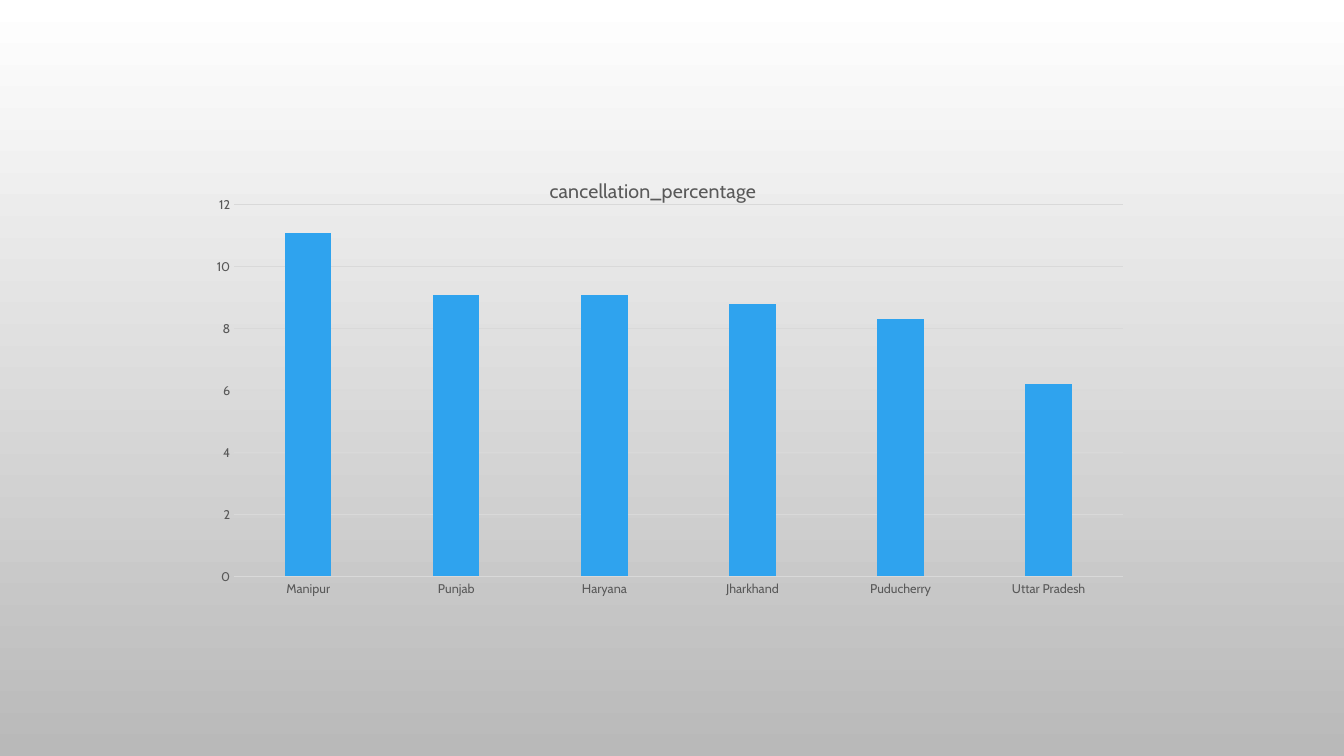
import pptx
import pptx.chart.data
import pptx.dml.color
import pptx.enum.chart
import pptx.oxml
import pptx.oxml.ns
import pptx.util

RGBColor = pptx.dml.color.RGBColor
WHITE = RGBColor(0xFF, 0xFF, 0xFF)
GREY = RGBColor(0xB9, 0xB9, 0xB9)
TEXT = RGBColor(0x59, 0x59, 0x59)
RULE = RGBColor(0xD9, 0xD9, 0xD9)
BLUE = RGBColor(0x2F, 0xA3, 0xEE)
FONT = "Cabin"

SLIDE_WIDTH = pptx.util.Inches(13.33)
SLIDE_HEIGHT = pptx.util.Inches(7.5)
# Chart frame as shares of the slide: left, top, width, height
CHART_FRAME = (0.1365, 0.2107, 0.6992, 0.5973)
# Inner plot area as shares of the chart
PLOT_AREA = {"x": 0.054, "y": 0.101, "w": 0.946, "h": 0.823}

SERIES_NAME = "cancellation_percentage"
CANCELLATIONS = {
    "Manipur": 11.1,
    "Punjab": 9.1,
    "Haryana": 9.1,
    "Jharkhand": 8.8,
    "Puducherry": 8.3,
    "Uttar Pradesh": 6.2,
}


def set_font(font, size):
    font.name = FONT
    font.size = pptx.util.Pt(size)
    font.bold = False
    font.color.rgb = TEXT


def set_rule(line):
    line.color.rgb = RULE
    line.width = pptx.util.Pt(0.75)


def paint_background(slide):
    fill = slide.background.fill
    fill.gradient()
    fill.gradient_angle = 270
    for stop, color, position in zip(fill.gradient_stops, (WHITE, GREY), (0, 1)):
        stop.color.rgb = color
        stop.position = position


def place_plot_area(chart):
    plot_area = chart._chartSpace.chart.plotArea
    for layout in plot_area.findall(pptx.oxml.ns.qn("c:layout")):
        plot_area.remove(layout)
    modes = '<c:layoutTarget val="inner"/><c:xMode val="edge"/><c:yMode val="edge"/>'
    sizes = "".join(f'<c:{key} val="{share}"/>' for key, share in PLOT_AREA.items())
    plot_area.insert(0, pptx.oxml.parse_xml(
        f'<c:layout {pptx.oxml.ns.nsdecls("c")}>'
        f"<c:manualLayout>{modes}{sizes}</c:manualLayout></c:layout>"))


def format_axes(chart):
    for axis in (chart.category_axis, chart.value_axis):
        axis.major_tick_mark = pptx.enum.chart.XL_TICK_MARK.NONE
        axis.minor_tick_mark = pptx.enum.chart.XL_TICK_MARK.NONE
        set_font(axis.tick_labels.font, 9)
    set_rule(chart.category_axis.format.line)

    value_axis = chart.value_axis
    value_axis.minimum_scale, value_axis.maximum_scale = 0, 12
    value_axis.major_unit = 2
    value_axis.format.line.fill.background()
    value_axis.has_major_gridlines = True
    set_rule(value_axis.major_gridlines.format.line)
    value_axis.tick_labels.number_format = "General"
    value_axis.tick_labels.number_format_is_linked = False


def add_column_chart(slide):
    data = pptx.chart.data.CategoryChartData()
    data.categories = list(CANCELLATIONS)
    data.add_series(SERIES_NAME, list(CANCELLATIONS.values()))
    left, top, width, height = CHART_FRAME
    chart = slide.shapes.add_chart(
        pptx.enum.chart.XL_CHART_TYPE.COLUMN_CLUSTERED,
        int(left * SLIDE_WIDTH), int(top * SLIDE_HEIGHT),
        int(width * SLIDE_WIDTH), int(height * SLIDE_HEIGHT), data).chart
    set_font(chart.font, 10)
    chart.has_legend = False

    # Title
    chart.has_title = True
    title = chart.chart_title.text_frame
    title.text = SERIES_NAME
    set_font(title.paragraphs[0].runs[0].font, 14)

    # Columns
    plot = chart.plots[0]
    plot.gap_width = 219
    plot.overlap = -27
    plot.vary_by_categories = False
    fill = plot.series[0].format.fill
    fill.solid()
    fill.fore_color.rgb = BLUE

    format_axes(chart)
    place_plot_area(chart)


def main():
    presentation = pptx.Presentation()
    presentation.slide_width = SLIDE_WIDTH
    presentation.slide_height = SLIDE_HEIGHT
    slide = presentation.slides.add_slide(presentation.slide_layouts[6])
    paint_background(slide)
    add_column_chart(slide)
    presentation.save("out.pptx")


if __name__ == "__main__":
    main()
